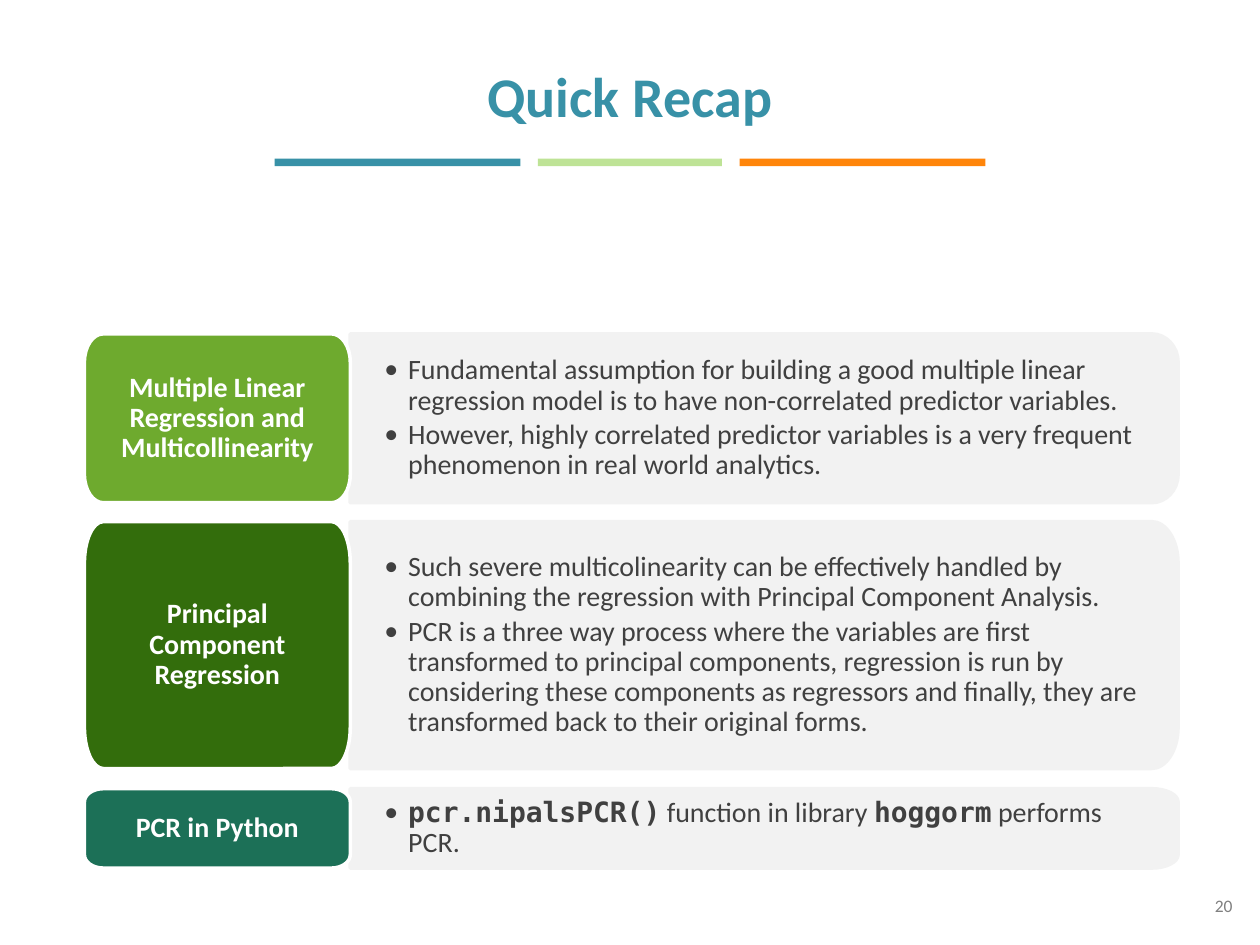
from lxml.etree import SubElement as Sub
from pptx import Presentation
from pptx.dml.color import RGBColor as RGB
from pptx.enum.shapes import MSO_SHAPE as Kind
from pptx.enum.text import MSO_ANCHOR as Anchor, MSO_AUTO_SIZE as Fit, PP_ALIGN as Align
from pptx.oxml.ns import qn
from pptx.util import Inches, Pt

TEAL = RGB(0x38, 0x91, 0xA7)
LIME = RGB(0xBE, 0xE3, 0x96)
ORANGE = RGB(0xFF, 0x85, 0x0A)
GREEN = RGB(0x6E, 0xAA, 0x2E)
FOREST = RGB(0x33, 0x6D, 0x0C)
PINE = RGB(0x1C, 0x70, 0x57)
PALE = RGB(0xF2, 0xF2, 0xF2)
DARK = RGB(0x40, 0x40, 0x40)
GRAY = RGB(0x80, 0x80, 0x80)
WHITE = RGB(0xFF, 0xFF, 0xFF)

SANS, MONO = "Calibri", "DejaVu Sans Mono"
LEFT, SPLIT, RIGHT = 0.67, 2.78, 9.35
BOW = 0.55

BARS = [(2.18, 1.95, TEAL), (4.27, 1.46, LIME), (5.87, 1.95, ORANGE)]

ROWS = [
    (2.65, 1.34, GREEN, "Multiple Linear Regression and Multicollinearity", [
        [("Fundamental assumption for building a good multiple linear regression "
          "model is to have non-correlated predictor variables.", SANS)],
        [("However, highly correlated predictor variables is a very frequent "
          "phenomenon in real world analytics.", SANS)],
    ]),
    (4.14, 1.96, FOREST, "Principal Component Regression", [
        [("Such severe multicolinearity can be effectively handled by combining "
          "the regression with Principal Component Analysis.", SANS)],
        [("PCR is a three way process where the variables are first transformed to "
          "principal components, regression is run by considering these components "
          "as regressors and finally, they are transformed back to their original "
          "forms.", SANS)],
    ]),
    (6.26, 0.63, PINE, "PCR in Python", [
        [("pcr.nipalsPCR()", MONO), (" function in library ", SANS),
         ("hoggorm", MONO), (" performs PCR.", SANS)],
    ]),
]


def apply(obj, vals):
    for key, val in vals.items():
        setattr(obj, key, val)


def place(shape, left, top, width, height):
    apply(shape, {"left": Inches(left), "top": Inches(top),
                  "width": Inches(width), "height": Inches(height)})


def frame(shape, sides=(0.1, 0.05, 0.1, 0.05), anchor=Anchor.MIDDLE):
    text = shape.text_frame
    names = ("margin_left", "margin_top", "margin_right", "margin_bottom")
    apply(text, dict(zip(names, map(Inches, sides))))
    apply(text, {"word_wrap": True, "auto_size": Fit.NONE,
                 "vertical_anchor": anchor})
    return text


def write(para, text, color, size=16, name=SANS, bold=False):
    run = para.add_run()
    run.text = text
    apply(run.font, {"name": name, "size": Pt(size), "bold": bold})
    run.font.color.rgb = color


def bullet(para):
    props = para._p.get_or_add_pPr()
    indent = Inches(0.19)
    props.set("marL", str(indent))
    props.set("indent", str(-indent))
    Sub(props, qn("a:buFont")).set("typeface", SANS)
    Sub(props, qn("a:buChar")).set("char", "•")


def bend(edge, start, tip, end):
    edge.tag = qn("a:cubicBezTo")
    for child in list(edge):
        edge.remove(child)
    pulls = [tuple(p + BOW * (t - p) for p, t in zip(spot, tip))
             for spot in (start, end)]
    for x, y in (*pulls, end):
        apex = Sub(edge, qn("a:pt"))
        apex.set("x", str(Inches(x)))
        apex.set("y", str(Inches(y)))


def block(slide, left, top, right, height, rx, fill, line, sharp=False):
    wide, ry = right - left, height / 6
    turns = [((wide - rx, 0), (wide, 0), (wide, ry)),
             ((wide, height - ry), (wide, height), (wide - rx, height))]
    tail = [(0, height), (0, 0)]
    if not sharp:
        turns += [((rx, height), (0, height), (0, height - ry)),
                  ((0, ry), (0, 0), (rx, 0))]
        tail = []
    spots = [spot for turn in turns for spot in turn[::2]] + tail
    points = [(Inches(left + x), Inches(top + y)) for x, y in spots]
    pen = slide.shapes.build_freeform(*points[0])
    pen.add_line_segments(points[1:], close=True)
    shape = pen.convert_to_shape()
    edges = list(shape._element.iter(qn("a:lnTo")))
    for edge, turn in zip(edges[::2], turns):
        bend(edge, *turn)
    shape.shadow.inherit = False
    shape.fill.solid()
    shape.fill.fore_color.rgb = fill
    shape.line.color.rgb = line
    shape.line.width = Pt(2)
    return shape


def panel(slide, top, height, items):
    shape = block(slide, SPLIT, top, RIGHT, height, 0.21, PALE, PALE, sharp=True)
    text = frame(shape, (0.27, 0.18, 0.32, 0.18))
    for i, runs in enumerate(items):
        para = text.add_paragraph() if i else text.paragraphs[0]
        apply(para, {"alignment": Align.LEFT, "line_spacing": 0.9,
                     "space_after": Pt(2.5)})
        bullet(para)
        for words, name in runs:
            write(para, words, DARK, name=name, bold=name == MONO)


def label(slide, top, height, fill, words):
    shape = block(slide, LEFT, top, SPLIT, height, 0.15, fill, WHITE)
    para = frame(shape, (0.13, 0.09, 0.13, 0.09)).paragraphs[0]
    apply(para, {"alignment": Align.CENTER, "line_spacing": 0.9})
    write(para, words, WHITE, bold=True)


def title(slide, words):
    shape = slide.shapes.title
    place(shape, 0.5, 0.44, 9, 0.73)
    para = frame(shape, anchor=Anchor.TOP).paragraphs[0]
    para.alignment = Align.CENTER
    write(para, words, TEAL, size=32, bold=True)


def bar(slide, left, width, color):
    shape = slide.shapes.add_shape(Kind.RECTANGLE, Inches(left), Inches(1.26),
                                   Inches(width), Inches(0.06))
    shape.shadow.inherit = False
    shape.fill.solid()
    shape.fill.fore_color.rgb = color
    shape.line.fill.background()


def number(slide, words):
    shape = slide.shapes.add_textbox(0, 0, 0, 0)
    place(shape, 7.55, 6.93, 2.33, 0.52)
    para = frame(shape).paragraphs[0]
    para.alignment = Align.RIGHT
    write(para, words, GRAY, size=10)


def main():
    deck = Presentation()
    apply(deck, {"slide_width": Inches(10), "slide_height": Inches(7.5)})
    slide = deck.slides.add_slide(deck.slide_layouts[5])
    title(slide, "Quick Recap")
    for spot in BARS:
        bar(slide, *spot)
    for top, height, fill, words, items in ROWS:
        panel(slide, top, height, items)
        label(slide, top, height, fill, words)
    number(slide, "20")
    deck.save("out.pptx")


if __name__ == "__main__":
    main()
